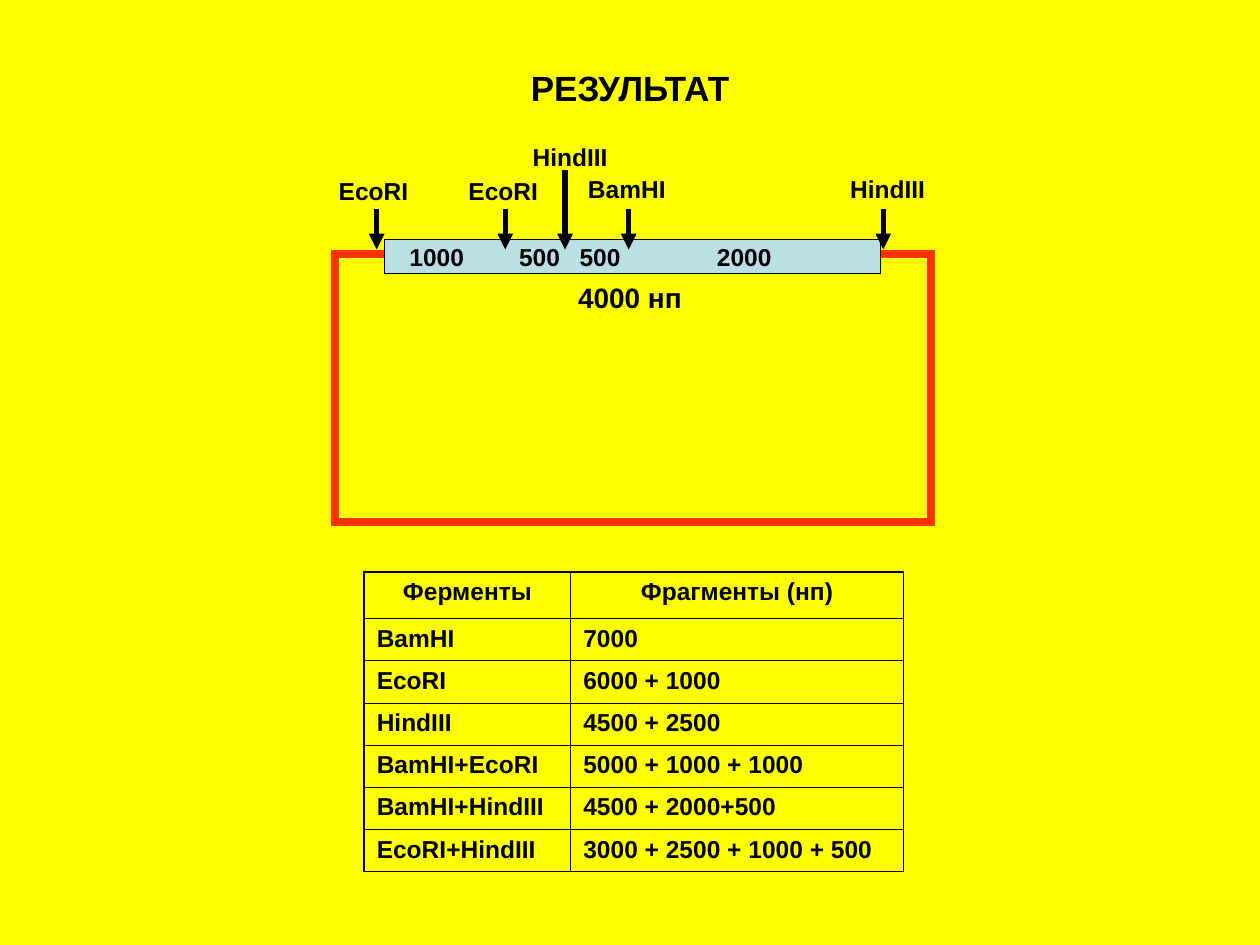
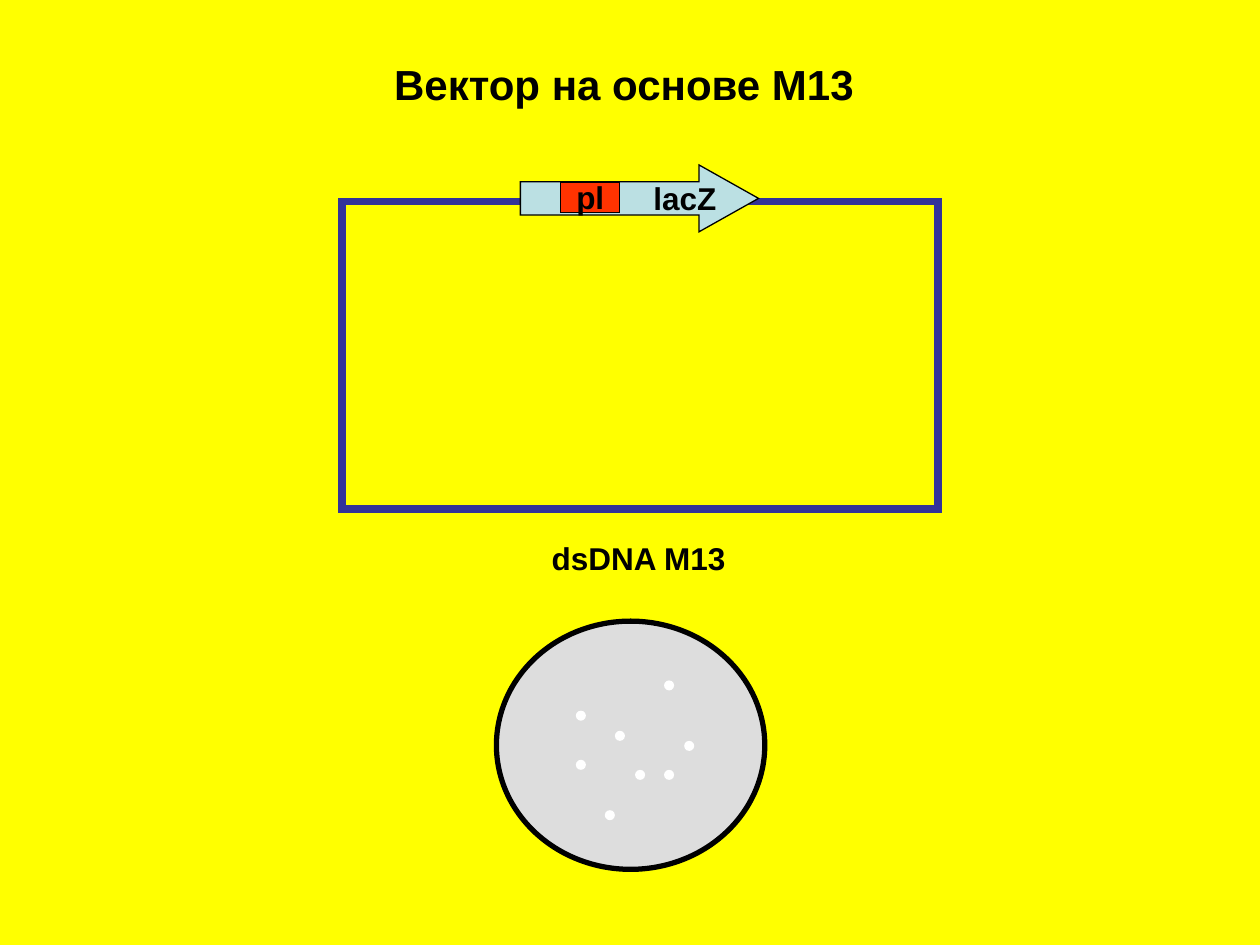
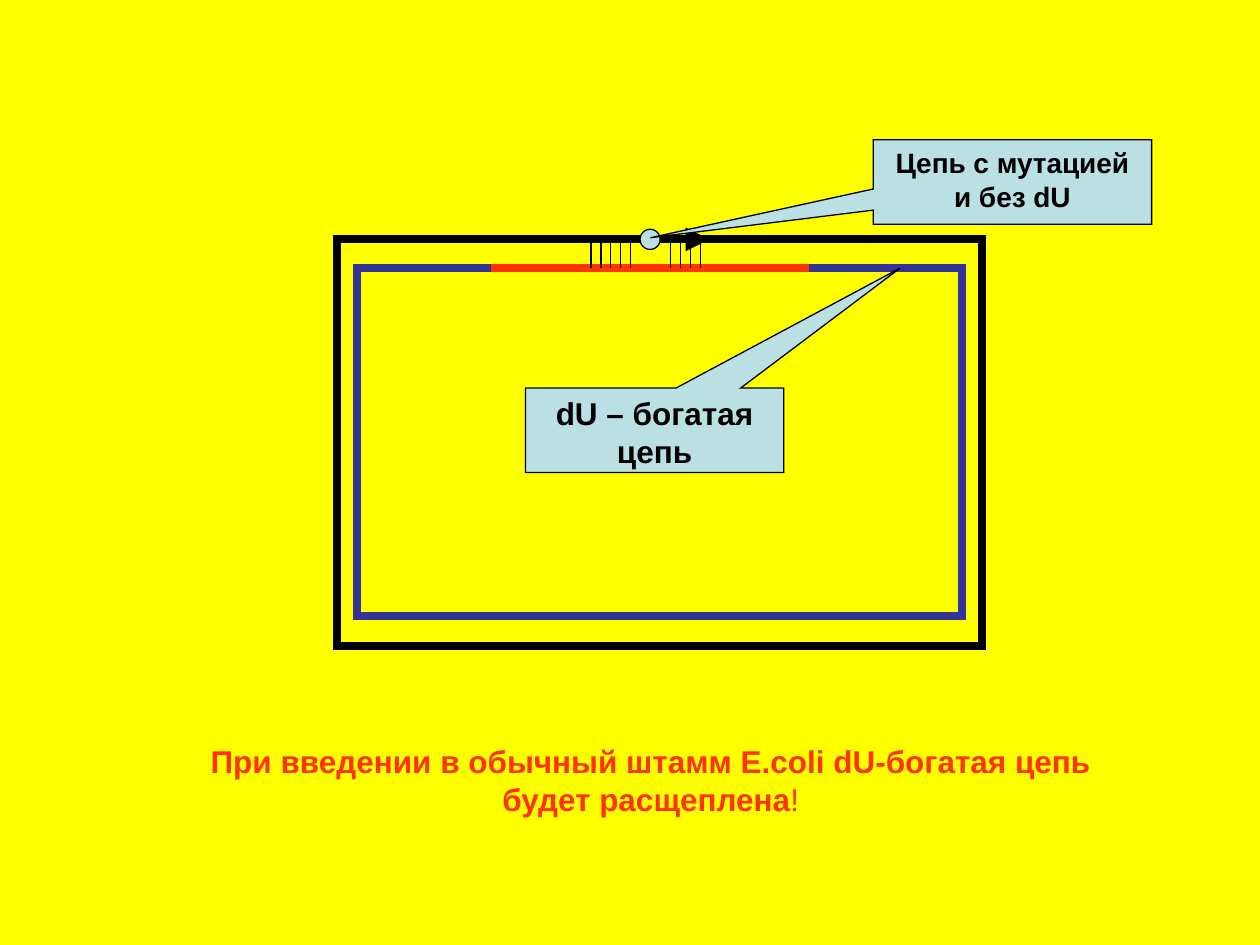
from lxml.etree import SubElement
from pptx import Presentation
from pptx.dml.color import RGBColor
from pptx.enum.shapes import MSO_CONNECTOR, MSO_SHAPE as Preset
from pptx.enum.text import MSO_ANCHOR as Anchor, MSO_AUTO_SIZE, PP_ALIGN as Align
from pptx.oxml.ns import qn
from pptx.util import Inches, Pt

# Grid: 100 columns by 75 rows of equal square units
COLUMNS, ROWS = 100, 75
WIDTH, HEIGHT = Inches(10), Inches(7.5)

FONT = "Arial"
YELLOW, BLACK, RED = "FFFF00", "000000", "FF3300"
BLUE, PALE, GREY, WHITE = "333399", "BBE0E3", "DDDDDD", "FFFFFF"
THIN, ARROW, STRAND = 0.75, 3, 4.5
OUTER_BORDER, INNER_BORDER = 1.08, 0.45


def color(value):
    return RGBColor.from_string(value)


def across(columns):
    return round(WIDTH * columns / COLUMNS)


def down(rows):
    return round(HEIGHT * rows / ROWS)


def box(left, top, width, height):
    return across(left), down(top), across(width), down(height)


def write(frame, text, size=14, align=Align.CENTER, ink=BLACK, plain="",
          wrap=True, anchor=Anchor.TOP, tabs=()):
    """Write bold text, with an optional plain ending and tab stops."""
    frame.word_wrap = wrap
    frame.vertical_anchor = anchor
    paragraph = frame.paragraphs[0]
    paragraph.alignment = align
    if tabs:
        tab_list = SubElement(paragraph._p.get_or_add_pPr(), qn("a:tabLst"))
        for stop in tabs:
            SubElement(tab_list, qn("a:tab"), pos=str(across(stop)), algn="l")
    for part, bold in ((text, True), (plain, False)):
        if part:
            run = paragraph.add_run()
            run.text = part
            run.font.name, run.font.size, run.font.bold = FONT, Pt(size), bold
            run.font.color.rgb = color(ink)


class Deck:
    def __init__(self):
        self.presentation = Presentation()
        self.presentation.slide_width = WIDTH
        self.presentation.slide_height = HEIGHT
        self.shapes = None

    def new_slide(self):
        slide = self.presentation.slides.add_slide(self.presentation.slide_layouts[6])
        slide.background.fill.solid()
        slide.background.fill.fore_color.rgb = color(YELLOW)
        self.shapes = slide.shapes

    def label(self, place, text, wrap=False, **style):
        frame = self.shapes.add_textbox(*box(*place)).text_frame
        write(frame, text, wrap=wrap, **style)
        frame.auto_size = MSO_AUTO_SIZE.SHAPE_TO_FIT_TEXT

    def shape(self, place, preset=Preset.RECTANGLE, fill=None, line=BLACK,
              weight=THIN, adjust=()):
        shape = self.shapes.add_shape(preset, *box(*place))
        shape.shadow.inherit = False
        if fill:
            shape.fill.solid()
            shape.fill.fore_color.rgb = color(fill)
        else:
            shape.fill.background()
        if line:
            shape.line.color.rgb = color(line)
            shape.line.width = Pt(weight)
            SubElement(shape.line._get_or_add_ln(), qn("a:miter"), lim="800000")
        else:
            shape.line.fill.background()
        for index, value in enumerate(adjust):
            shape.adjustments[index] = value
        return shape

    def line(self, start, end, ink=BLACK, weight=THIN, arrow=False):
        connector = self.shapes.add_connector(
            MSO_CONNECTOR.STRAIGHT, across(start[0]), down(start[1]),
            across(end[0]), down(end[1]))
        connector.line.color.rgb = color(ink)
        connector.line.width = Pt(weight)
        if arrow:
            SubElement(connector.line._get_or_add_ln(), qn("a:tailEnd"), type="triangle")
        SubElement(connector._element.spPr, qn("a:effectLst"))

    def callout(self, place, text, size, adjust):
        shape = self.shape(place, Preset.RECTANGULAR_CALLOUT, PALE, adjust=adjust)
        write(shape.text_frame, text, size=size)

    def table(self, place, rows, widths, heights):
        frame = self.shapes.add_table(len(rows), len(widths), *box(*place))
        table = frame.table
        table.first_row = table.horz_banding = False
        for column, width in zip(table.columns, widths):
            column.width = across(width)
        for row, height in zip(table.rows, heights):
            row.height = down(height)
        last_row, last_column = len(rows) - 1, len(widths) - 1
        for r, texts in enumerate(rows):
            for c, text in enumerate(texts):
                cell = table.cell(r, c)
                write(cell.text_frame, text, align=Align.LEFT if r else Align.CENTER)
                self.borders(cell, L=c == 0, R=c == last_column, T=r == 0, B=r == last_row)
                cell.fill.background()

    def borders(self, cell, **outer_sides):
        properties = cell._tc.get_or_add_tcPr()
        for side, outer in outer_sides.items():
            weight = OUTER_BORDER if outer else INNER_BORDER
            edge = SubElement(properties, qn(f"a:ln{side}"), w=str(Pt(weight)))
            SubElement(SubElement(edge, qn("a:solidFill")), qn("a:srgbClr"), val=BLACK)


def restriction_map(deck):
    deck.new_slide()
    deck.table((28.9, 45.4, 42.8, 23.8), [
        ("Ферменты", "Фрагменты (нп)"),
        ("BamHI", "7000"),
        ("EcoRI", "6000 + 1000"),
        ("HindIII", "4500 + 2500"),
        ("BamHI+EcoRI", "5000 + 1000 + 1000"),
        ("BamHI+HindIII", "4500 + 2000+500"),
        ("EcoRI+HindIII", "3000 + 2500 + 1000 + 500"),
    ], widths=(16.4, 26.4), heights=[3.7] + [3.35] * 6)

    # Plasmid ring and its insert
    deck.shape((26.6, 20.15, 47.3, 21.3), line=RED, weight=STRAND)
    insert = deck.shape((30.5, 19, 39.4, 2.7), fill=PALE)
    insert.text_frame.margin_left = across(2)
    write(insert.text_frame, "1000\t500\t500\t2000", align=Align.LEFT,
          anchor=Anchor.MIDDLE, tabs=(8.7, 13.5, 24.4))
    deck.label((44.3, 21.8, 11.4, 3.7), "4000 нп", wrap=True, size=16)

    # Cutting sites: enzyme, label centre and top, arrow place and start
    label_width = 10
    for enzyme, center, top, site, start in (
            ("EcoRI", 29.65, 13.5, 29.9, 16.6),
            ("EcoRI", 39.95, 13.5, 40.1, 16.6),
            ("HindIII", 45.25, 10.75, 44.85, 13.5),
            ("BamHI", 49.75, 13.3, 49.9, 16.6),
            ("HindIII", 70.45, 13.3, 70.1, 16.6)):
        deck.line((site, start), (site, 19.8), weight=ARROW, arrow=True)
        deck.label((center - label_width / 2, top, label_width, 3.4), enzyme)
    deck.label((40, 4.8, 20, 4.4), "РЕЗУЛЬТАТ", size=20)


def phage_vector(deck):
    deck.new_slide()
    deck.label((30.3, 4.15, 38.6, 5), "Вектор на основе М13", size=24, align=Align.LEFT)

    # Double-stranded vector with its gene and polylinker
    deck.shape((27.15, 16, 47.3, 24.4), line=BLUE, weight=STRAND)
    deck.label((42.8, 42.3, 15.9, 4), "dsDNA M13", size=18, align=Align.LEFT)
    gene = deck.shape((41.3, 13.1, 18.9, 5.3), Preset.RIGHT_ARROW, PALE, adjust=(0.5, 0.89))
    write(gene.text_frame, "lacZ", size=18, align=Align.RIGHT, wrap=False,
          anchor=Anchor.MIDDLE)
    polylinker = deck.shape((44.5, 14.45, 4.7, 2.4), fill=RED)
    write(polylinker.text_frame, "pl", size=18, wrap=False, anchor=Anchor.MIDDLE)

    # Dish with plaques
    deck.shape((39.4, 49.3, 21.3, 19.7), Preset.OVAL, GREY, weight=ARROW)
    for left, top in ((45.7, 56.4), (45.7, 60.3), (50.4, 61.1), (52.7, 54),
                      (48.8, 58), (52.7, 61.1), (54.3, 58.8), (48, 64.3)):
        deck.shape((left, top, 0.8, 0.8), Preset.OVAL, WHITE, line=None)


def mutant_strand(deck):
    outer_top, inner_top = 19, 21.3
    deck.new_slide()

    # New outer strand, template strand and target region
    deck.shape((26.75, outer_top, 51.2, 32.3), weight=STRAND)
    deck.shape((28.35, inner_top, 48, 27.6), line=BLUE, weight=STRAND)
    deck.line((39, inner_top), (64.2, inner_top), ink=RED, weight=STRAND)

    # Primer with the mutation; base pairs are missing around it
    deck.line((46.9, outer_top), (56.3, outer_top), weight=STRAND, arrow=True)
    deck.shape((50.8, 18.2, 1.6, 1.6), Preset.OVAL, PALE)
    for step in (0, 1, 2, 3, 4, 8, 9, 10, 11):
        pair = 46.9 + 0.79 * step
        deck.line((pair, outer_top), (pair, inner_top))

    deck.callout((69.3, 11.1, 22.1, 6.7), "Цепь с мутацией и без dU", 16, (-1.3, 0.66))
    deck.callout((41.7, 30.8, 20.5, 6.7), "dU – богатая цепь", 18, (0.95, -1.92))
    deck.label((14.3, 58.4, 74.7, 7),
               "При введении в обычный штамм E.coli dU-богатая цепь будет расщеплена",
               plain="!", wrap=True, size=18, ink=RED)


def main():
    deck = Deck()
    restriction_map(deck)
    phage_vector(deck)
    mutant_strand(deck)
    deck.presentation.save("out.pptx")


if __name__ == "__main__":
    main()
